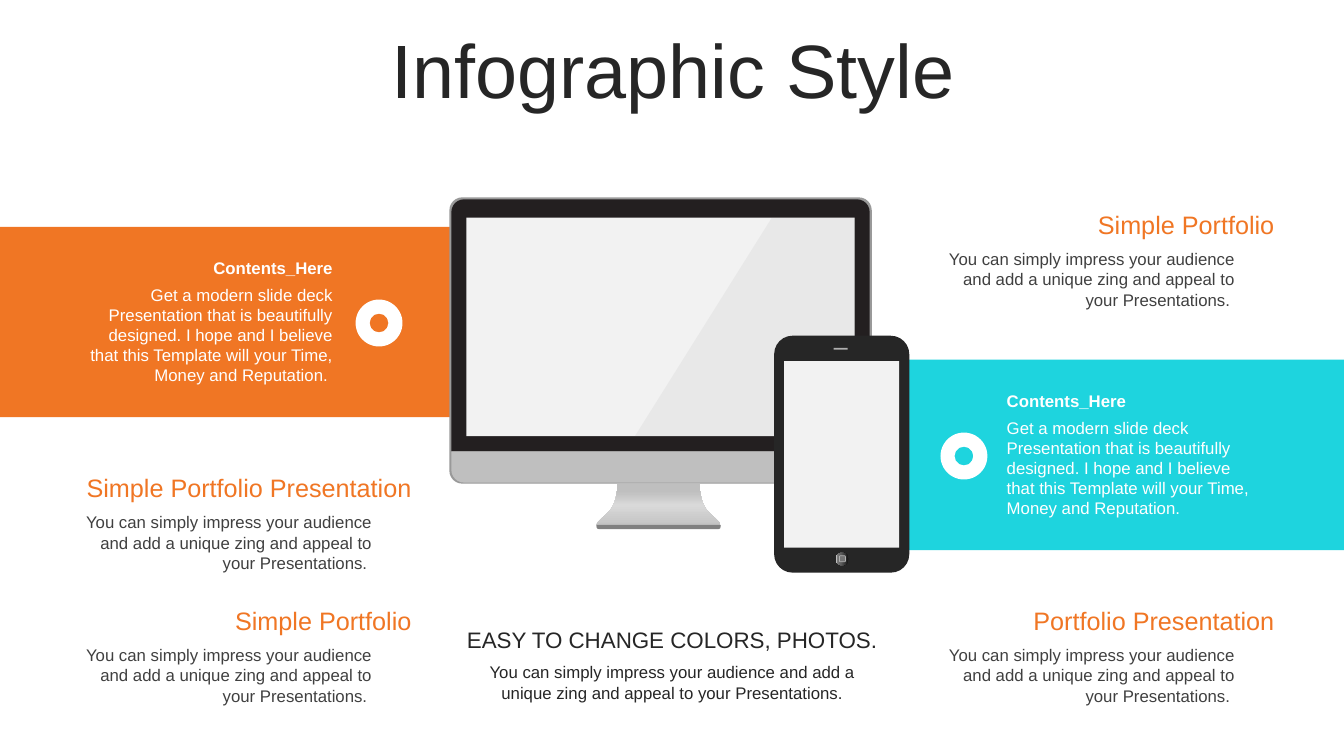
"""Builds an infographic slide with a monitor, a phone, two colour bands and captions."""
import pptx
import pptx.dml.color
import pptx.enum.shapes
import pptx.enum.text
import pptx.oxml
import pptx.oxml.ns
import pptx.util

Pt = pptx.util.Pt
RGBColor = pptx.dml.color.RGBColor
SHAPE = pptx.enum.shapes.MSO_SHAPE
ALIGN = pptx.enum.text.PP_ALIGN
ANCHOR = pptx.enum.text.MSO_ANCHOR

ORANGE = RGBColor(0xF0, 0x76, 0x24)
CYAN = RGBColor(0x1E, 0xD4, 0xDE)
WHITE = RGBColor(0xFF, 0xFF, 0xFF)
DARK = RGBColor(0x26, 0x26, 0x26)
BODY_GRAY = RGBColor(0x40, 0x40, 0x40)
FRAME_GRAY = RGBColor(0x99, 0x99, 0x99)
BEZEL_BLACK = RGBColor(0x23, 0x1F, 0x20)
CHIN_GRAY = RGBColor(0xBF, 0xBF, 0xBF)
STAND_LIGHT = RGBColor(0xD9, 0xD9, 0xD9)
BASE_GRAY = RGBColor(0x80, 0x80, 0x80)
SCREEN_GRAY = RGBColor(0xF2, 0xF2, 0xF2)
SPEAKER_GRAY = RGBColor(0xB0, 0xB0, 0xB0)
KEY_GRAY = RGBColor(0x73, 0x73, 0x73)
BUTTON_BLACK = RGBColor(0x0F, 0x0F, 0x0F)
BUTTON_GRAY = RGBColor(0x59, 0x59, 0x59)

BAND_TEXT = ("Get a modern slide deck Presentation that is beautifully designed. "
             "I hope and I believe that this Template will your Time, Money and Reputation.")
CAPTION_TEXT = ("You can simply impress your audience and add a unique zing "
                "and appeal to your Presentations.")


def style_shape(shape, color):
    """Give a shape a plain fill without line or shadow."""
    shape.shadow.inherit = False
    shape.fill.solid()
    shape.fill.fore_color.rgb = color
    shape.line.fill.background()
    return shape


def add_shape(slide, kind, box, color, adjustments=()):
    """Add a preset shape in a box of left, top, width and height."""
    shape = slide.shapes.add_shape(kind, *(Pt(length) for length in box))
    for index, value in enumerate(adjustments):
        shape.adjustments[index] = value
    return style_shape(shape, color)


def add_outline(slide, left, top, points, color):
    """Add a closed freeform whose points are relative to left and top."""
    placed = [(Pt(left + x), Pt(top + y)) for x, y in points]
    builder = slide.shapes.build_freeform(*placed[0])
    builder.add_line_segments(placed[1:], close=True)
    return style_shape(builder.convert_to_shape(), color)


def set_gradient(shape, stops, angle):
    """Replace the fill of a shape by a linear gradient."""
    stop_xml = "".join(f'<a:gs pos="{position * 1000}"><a:srgbClr val="{color}"/></a:gs>'
                       for position, color in stops)
    gradient = pptx.oxml.parse_xml(
        f'<a:gradFill {pptx.oxml.ns.nsdecls("a")}><a:gsLst>{stop_xml}</a:gsLst>'
        f'<a:lin ang="{angle * 60000}" scaled="0"/></a:gradFill>')
    properties = shape.fill._xPr
    properties.replace(properties.find(pptx.oxml.ns.qn("a:solidFill")), gradient)


def curve(start, first, second, end, steps=10):
    """Return points along a cubic curve."""
    points = []
    for step in range(steps + 1):
        t = step / steps
        weights = ((1 - t) ** 3, 3 * t * (1 - t) ** 2, 3 * t * t * (1 - t), t ** 3)
        points.append(tuple(sum(weight * point[axis] for weight, point
                                in zip(weights, (start, first, second, end)))
                            for axis in (0, 1)))
    return points


def add_text(slide, box, text, size, color, align, anchor=ANCHOR.TOP, bold=False, spacing=1.0):
    """Add a wrapped text box holding one paragraph."""
    frame = slide.shapes.add_textbox(*(Pt(length) for length in box)).text_frame
    frame.word_wrap = True
    frame.vertical_anchor = anchor
    paragraph = frame.paragraphs[0]
    paragraph.text = text
    paragraph.alignment = align
    paragraph.line_spacing = spacing
    font = paragraph.font
    font.name, font.size, font.bold = "Arial", Pt(size), bold
    font.color.rgb = color


def add_band(slide, box, color, text_left, text_width, icon_left, align, text):
    """Add a colour band with a round icon, a heading and a text."""
    left, top = box[:2]
    add_shape(slide, SHAPE.RECTANGLE, box, color)
    add_shape(slide, SHAPE.DONUT, (left + icon_left, top + 52, 33.5, 33.5), WHITE, [0.3])
    add_text(slide, (left + text_left, top + 18.4, text_width, 21.6), "Contents_Here",
             12, WHITE, align, ANCHOR.MIDDLE, bold=True)
    add_text(slide, (left + text_left, top + 37.2, text_width, 80), text,
             12, WHITE, align, ANCHOR.MIDDLE)


def add_monitor(slide, left, top):
    """Add a desktop monitor with its stand."""
    middle = 149.4
    left_side = (curve((120.2, 204.5), (120.2, 204.5), (120.2, 218.2), (113.8, 224.6))
                 + curve((113.8, 224.6), (107.3, 231.1), (97.2, 236.9), (114.5, 236.9)))
    right_side = [(2 * middle - x, y) for x, y in reversed(left_side)]
    stand = add_outline(slide, left, top, left_side + right_side, CHIN_GRAY)
    set_gradient(stand, [(0, CHIN_GRAY), (53, STAND_LIGHT), (83, CHIN_GRAY),
                         (100, CHIN_GRAY)], 270)
    add_shape(slide, SHAPE.ROUNDED_RECTANGLE, (left, top, 301.7, 204.5), FRAME_GRAY, [0.045])
    add_shape(slide, SHAPE.ROUND_2_SAME_RECTANGLE, (left + 1.4, top + 1.4, 298.8, 180),
              BEZEL_BLACK, [0.05, 0])
    add_shape(slide, SHAPE.ROUND_2_SAME_RECTANGLE, (left + 105.1, top + 234, 88.6, 2.9),
              BASE_GRAY, [0, 0.5])
    add_shape(slide, SHAPE.ROUND_2_SAME_RECTANGLE, (left + 1.4, top + 181.4, 298.8, 22.3),
              CHIN_GRAY, [0, 0.41])
    add_shape(slide, SHAPE.RECTANGLE, (left + 12.2, top + 14.4, 277.2, 156.2), SCREEN_GRAY)
    glare = add_outline(slide, left, top, [(230.4, 14.4), (289.4, 14.4), (289.4, 170.6),
                                           (132.5, 170.6)], FRAME_GRAY)
    color_element = glare.fill._xPr.find(".//" + pptx.oxml.ns.qn("a:srgbClr"))
    color_element.append(pptx.oxml.parse_xml(
        f'<a:alpha {pptx.oxml.ns.nsdecls("a")} val="10000"/>'))


def add_phone(slide, left, top):
    """Add a phone with speaker, screen and home button."""
    add_shape(slide, SHAPE.ROUNDED_RECTANGLE, (left, top, 96.5, 169.2), DARK, [0.136])
    add_shape(slide, SHAPE.RECTANGLE, (left + 42.5, top + 8.6, 10.1, 1.4), SPEAKER_GRAY)
    button = add_shape(slide, SHAPE.OVAL, (left + 43.9, top + 154.8, 9.4, 9.4), BUTTON_BLACK)
    set_gradient(button, [(0, BUTTON_BLACK), (56, BUTTON_GRAY), (91, BASE_GRAY),
                          (100, CHIN_GRAY)], 180)
    key = add_shape(slide, SHAPE.ROUNDED_RECTANGLE, (left + 46.6, top + 157.2, 4.3, 4.3),
                    KEY_GRAY)
    key.line.color.rgb = SPEAKER_GRAY
    key.line.width = Pt(0.5)
    add_shape(slide, SHAPE.RECTANGLE, (left + 7.2, top + 18.2, 82.1, 133.2), SCREEN_GRAY)


def add_caption(slide, left, top, heading):
    """Add an orange heading over a right-aligned text."""
    add_text(slide, (left, top, 293.8, 24.5), heading, 18, ORANGE, ALIGN.RIGHT, spacing=0.8)
    add_text(slide, (left + 35.3, top + 24.5, 230.4, 51), CAPTION_TEXT + " ", 12,
             BODY_GRAY, ALIGN.RIGHT)


def add_footer(slide, left, top):
    """Add the centred closing statement."""
    add_text(slide, (left, top, 309.6, 26.6), "EASY TO CHANGE COLORS, PHOTOS.", 16, DARK,
             ALIGN.CENTER)
    add_text(slide, (left + 2.2, top + 25.9, 305.3, 36), CAPTION_TEXT, 12, DARK, ALIGN.CENTER)


def main():
    """Build and save the presentation."""
    presentation = pptx.Presentation()
    presentation.slide_width, presentation.slide_height = Pt(960), Pt(540)
    slide = presentation.slides.add_slide(presentation.slide_layouts[6])
    add_band(slide, (0, 162, 330, 136), ORANGE, 52.6, 192.2, 254, ALIGN.RIGHT, BAND_TEXT + " ")
    add_band(slide, (612, 257, 348, 136), CYAN, 100, 195, 59.8, ALIGN.LEFT, BAND_TEXT)
    add_monitor(slide, 321, 141)
    add_text(slide, (25.2, 24.5, 911.5, 56.9), "Infographic Style", 54, DARK, ALIGN.CENTER,
             ANCHOR.MIDDLE, spacing=0.9)
    for left, top, heading in ((7.2, 337.7, "Simple Portfolio Presentation"),
                               (7.2, 432.7, "Simple Portfolio"),
                               (623.5, 149.8, "Simple Portfolio"),
                               (623.5, 432.7, "Portfolio Presentation")):
        add_caption(slide, left, top, heading)
    add_footer(slide, 325.4, 443.5)
    add_phone(slide, 553, 239.8)
    presentation.save("out.pptx")


if __name__ == "__main__":
    main()
